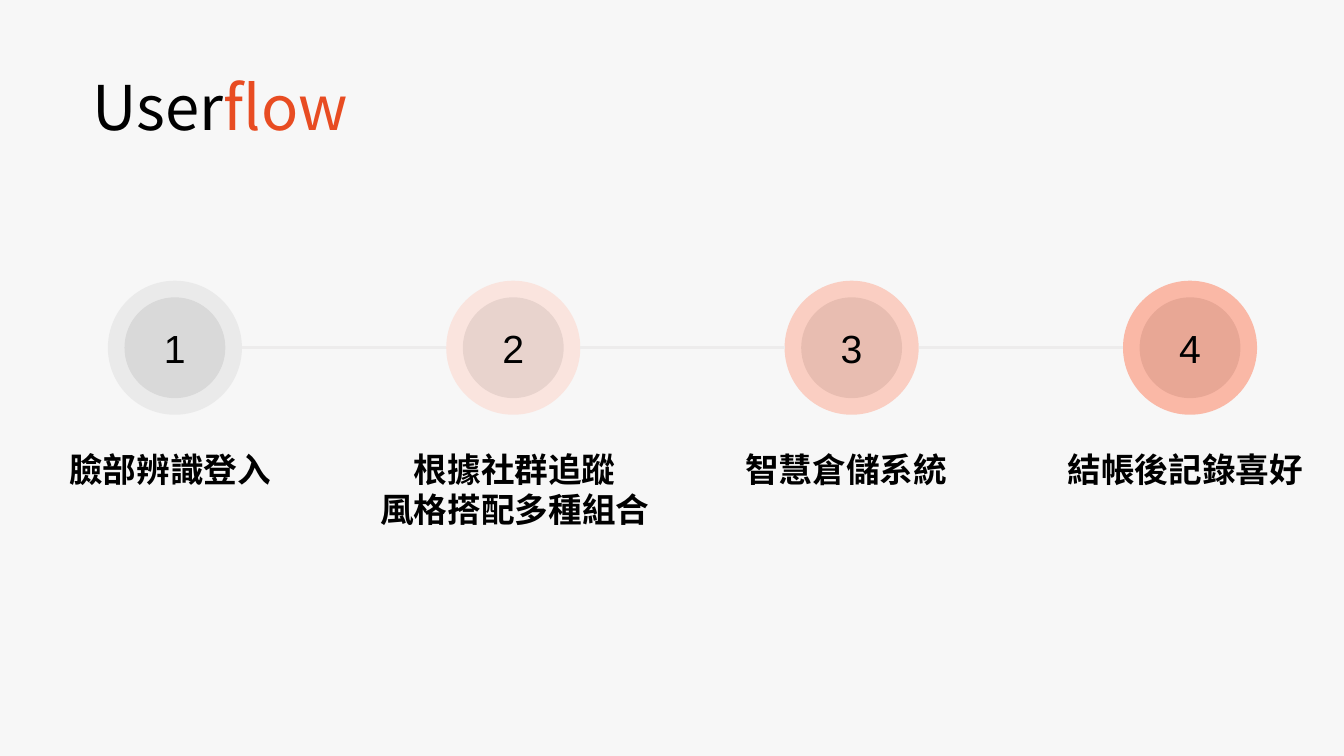
import pptx
import pptx.util
import pptx.dml.color
import pptx.enum.shapes
import pptx.enum.text
import pptx.oxml.ns
from lxml import etree

Inches, Pt = pptx.util.Inches, pptx.util.Pt
RGBColor = pptx.dml.color.RGBColor
MSO_SHAPE = pptx.enum.shapes.MSO_SHAPE
PP_ALIGN = pptx.enum.text.PP_ALIGN
MSO_ANCHOR = pptx.enum.text.MSO_ANCHOR
qn = pptx.oxml.ns.qn

BACKGROUND = RGBColor(0xF7, 0xF7, 0xF7)
BLACK = RGBColor(0, 0, 0)
ORANGE = RGBColor(0xE8, 0x4C, 0x22)
GREY = RGBColor(0xD9, 0xD9, 0xD9)
LINE_GREY = RGBColor(0xED, 0xEC, 0xEC)

HEADING = [("User", BLACK), ("flow", ORANGE)]
STEPS = [
    ("臉部辨識登入", GREY, 0.44, 2.59, 0.5),
    ("根據社群追蹤\v風格搭配多種組合", RGBColor(0xFF, 0xCB, 0xBD), 3.64, 3.03, 0.91),
    ("智慧倉儲系統", RGBColor(0xFF, 0x97, 0x7A), 7.28, 2.32, 0.5),
    ("結帳後記錄喜好", RGBColor(0xFF, 0x62, 0x38), 10.48, 2.65, 0.5),
]
FIRST_CENTER, PITCH, CENTER_Y = 1.735, 3.356, 3.45
DISC, RING = 1, 1.33
LABEL_TOP = 4.4
RING_OPACITY = 42000


def set_font(run, name, size, color, bold=False):
    run.font.name = name
    run.font.size = Pt(size)
    run.font.color.rgb = color
    run.font.bold = bold
    east_asian = etree.Element(qn("a:ea"), typeface=name)
    run.font._element.find(qn("a:latin")).addnext(east_asian)


def set_insets(frame):
    frame.margin_left = 0
    frame.margin_right = Inches(0.1)
    frame.margin_top = frame.margin_bottom = Inches(0.05)
    frame.word_wrap = True


def add_circle(shapes, center, diameter, color):
    circle = shapes.add_shape(
        MSO_SHAPE.OVAL, Inches(center - diameter / 2), Inches(CENTER_Y - diameter / 2),
        Inches(diameter), Inches(diameter))
    circle.shadow.inherit = False
    circle.fill.solid()
    circle.fill.fore_color.rgb = color
    circle.line.fill.background()
    return circle


def add_badge(slide, number, center, color):
    badge = slide.shapes.add_group_shape()
    add_circle(badge.shapes, center, DISC, GREY)
    ring = add_circle(badge.shapes, center, RING, color)
    ring_color = ring.fill._xPr.find(qn("a:solidFill"))[0]
    etree.SubElement(ring_color, qn("a:alpha"), val=str(RING_OPACITY))
    frame = ring.text_frame
    frame.vertical_anchor = MSO_ANCHOR.MIDDLE
    frame.text = str(number)
    frame.paragraphs[0].alignment = PP_ALIGN.CENTER
    set_font(frame.paragraphs[0].runs[0], "Arial", 28, BLACK)


def add_label(slide, text, left, width, height):
    label = slide.shapes.add_textbox(
        Inches(left), Inches(LABEL_TOP), Inches(width), Inches(height))
    set_insets(label.text_frame)
    paragraph = label.text_frame.paragraphs[0]
    paragraph.text = text
    paragraph.alignment = PP_ALIGN.CENTER
    for run in paragraph.runs:
        set_font(run, "Noto Sans CJK TC", 24, BLACK, True)


def add_link(slide, start, end):
    link = slide.shapes.add_connector(
        pptx.enum.shapes.MSO_CONNECTOR.STRAIGHT,
        Inches(start), Inches(CENTER_Y), Inches(end), Inches(CENTER_Y))
    link.line.color.rgb = LINE_GREY
    link.line.width = Pt(2.25)
    etree.SubElement(link._element.spPr, qn("a:effectLst"))


def add_heading(slide):
    heading = slide.shapes.title
    heading.left, heading.top = Inches(0.92), Inches(0.72)
    heading.width, heading.height = Inches(4.9), Inches(0.77)
    frame = heading.text_frame
    set_insets(frame)
    frame.vertical_anchor = MSO_ANCHOR.TOP
    frame.auto_size = pptx.enum.text.MSO_AUTO_SIZE.NONE
    paragraph = frame.paragraphs[0]
    paragraph.alignment = PP_ALIGN.LEFT
    paragraph.line_spacing = 0.9
    for text, color in HEADING:
        run = paragraph.add_run()
        run.text = text
        set_font(run, "Noto Sans CJK JP", 44, color)


def main():
    deck = pptx.Presentation()
    deck.slide_width, deck.slide_height = Inches(13.33), Inches(7.5)
    slide = deck.slides.add_slide(deck.slide_layouts[5])
    slide.background.fill.solid()
    slide.background.fill.fore_color.rgb = BACKGROUND
    add_heading(slide)
    for index, (text, color, left, width, height) in enumerate(STEPS):
        center = FIRST_CENTER + index * PITCH
        add_badge(slide, index + 1, center, color)
        add_label(slide, text, left, width, height)
        if index:
            add_link(slide, center - PITCH + RING / 2, center - RING / 2)
    deck.save("out.pptx")


if __name__ == "__main__":
    main()
